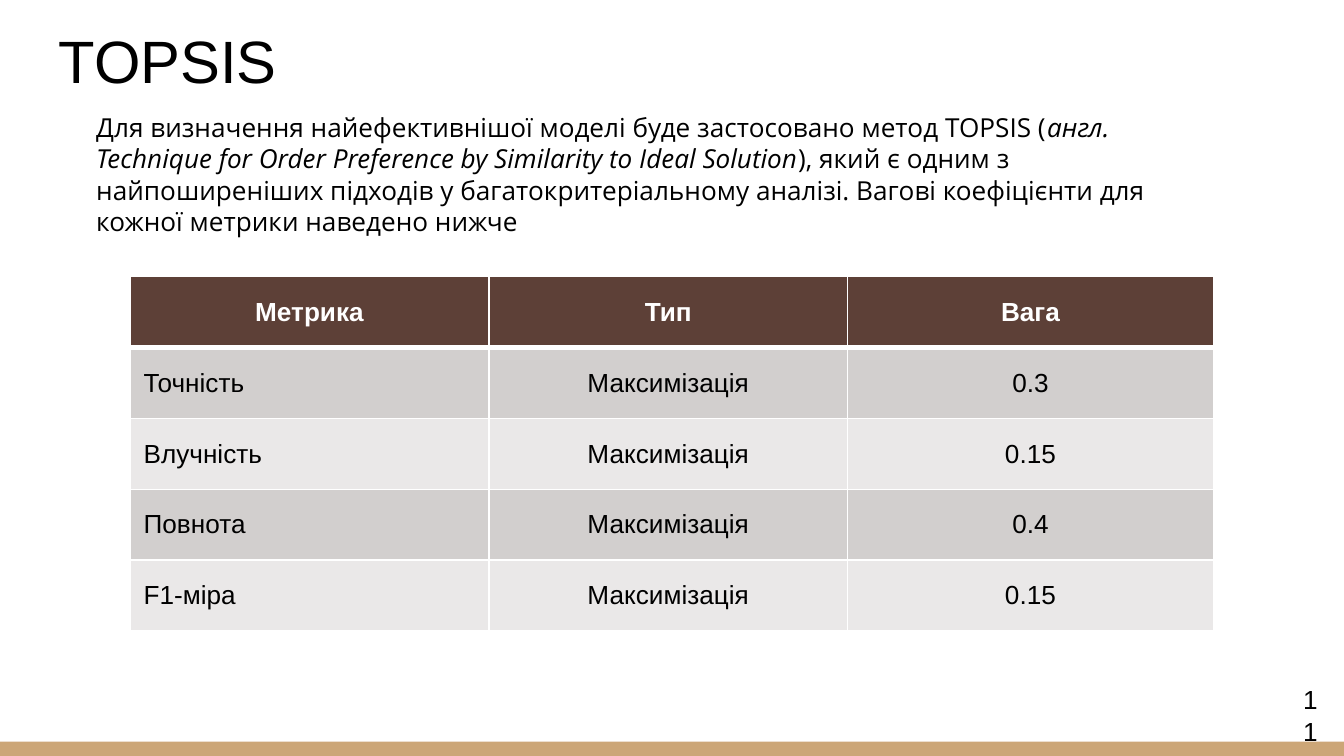
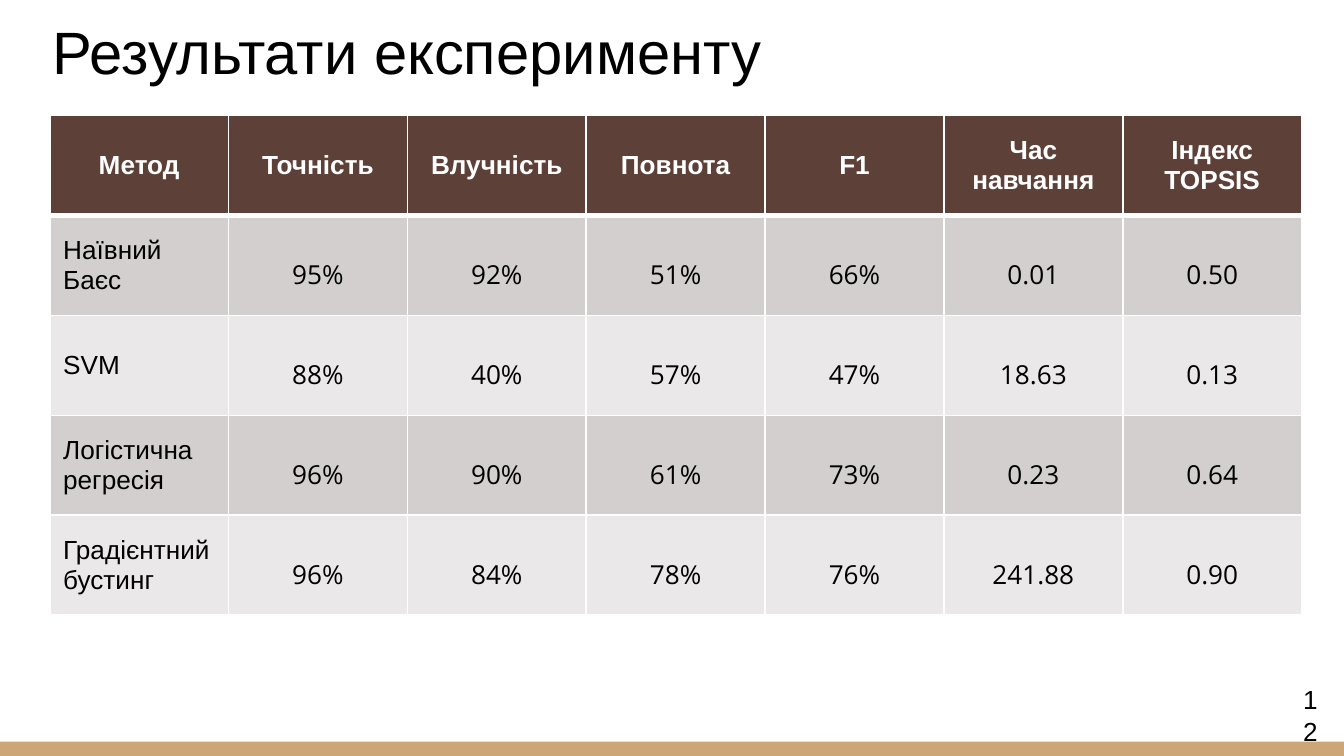
import pptx
import pptx.dml.color
import pptx.enum.shapes
import pptx.enum.text
import pptx.oxml.ns
import pptx.util
from lxml import etree

Cm = pptx.util.Cm
Pt = pptx.util.Pt
RGBColor = pptx.dml.color.RGBColor
ALIGN = pptx.enum.text.PP_ALIGN
ANCHOR = pptx.enum.text.MSO_ANCHOR

# Shared style
BLACK = RGBColor(0x00, 0x00, 0x00)
WHITE = RGBColor(0xFF, 0xFF, 0xFF)
SAND = RGBColor(0xCC, 0xA6, 0x77)
BROWN = RGBColor(0x5D, 0x40, 0x37)
ROW_DARK = RGBColor(0xD2, 0xCF, 0xCE)
ROW_LIGHT = RGBColor(0xEA, 0xE8, 0xE8)
ARIAL = "Arial"
OPEN_SANS = "Open Sans"
SLIDE_W, SLIDE_H = 25.4, 14.29
BAND_H = 0.27

# Content
INTRO = [
    ("Для визначення найефективнішої моделі буде застосовано метод TOPSIS (", False),
    ("англ. Technique for Order Preference by Similarity to Ideal Solution", True),
    ("), який є одним з найпоширеніших підходів у багатокритеріальному аналізі. "
     "Вагові коефіцієнти для кожної метрики наведено нижче", False),
]
WEIGHTS = [
    ("Метрика", "Тип", "Вага"),
    ("Точність", "Максимізація", "0.3"),
    ("Влучність", "Максимізація", "0.15"),
    ("Повнота", "Максимізація", "0.4"),
    ("F1-міра", "Максимізація", "0.15"),
]
RESULTS = [
    ("Метод", "Точність", "Влучність", "Повнота", "F1", "Час навчання", "Індекс TOPSIS"),
    ("Наївний Баєс", "95%", "92%", "51%", "66%", "0.01", "0.50"),
    ("SVM", "88%", "40%", "57%", "47%", "18.63", "0.13"),
    ("Логістична регресія", "96%", "90%", "61%", "73%", "0.23", "0.64"),
    ("Градієнтний бустинг", "96%", "84%", "78%", "76%", "241.88", "0.90"),
]


def add_run(p, text, size=14, font=ARIAL, color=BLACK, bold=False, italic=False):
    r = p.add_run()
    r.text = text
    r.font.size = Pt(size)
    r.font.name = font
    r.font.color.rgb = color
    r.font.bold = bold
    r.font.italic = italic


def add_text_box(s, left, top, width, height, wrap=True):
    tf = s.shapes.add_textbox(Cm(left), Cm(top), Cm(width), Cm(height)).text_frame
    tf.word_wrap = wrap
    return tf


def add_title(s, text, left, top):
    tf = add_text_box(s, left, top, 23.67, 2.31)
    tf.vertical_anchor = ANCHOR.BOTTOM
    tf.margin_left = tf.margin_right = tf.margin_top = tf.margin_bottom = Cm(0.25)
    add_run(tf.paragraphs[0], text, size=32)


def add_intro(s):
    tf = add_text_box(s, 1.57, 1.98, 21.59, 2.64)
    for text, italic in INTRO:
        add_run(tf.paragraphs[0], text, font=OPEN_SANS, italic=italic)


def add_base(prs, number):
    """Slide with the bottom band and the page number."""
    s = prs.slides.add_slide(prs.slide_layouts[6])
    band = s.shapes.add_shape(pptx.enum.shapes.MSO_SHAPE.RECTANGLE, 0,
                              Cm(SLIDE_H - BAND_H), Cm(SLIDE_W), Cm(BAND_H))
    band.shadow.inherit = False
    band.fill.solid()
    band.fill.fore_color.rgb = SAND
    band.line.fill.background()
    tf = add_text_box(s, 24.38, 12.8, 0.79, 0.86, wrap=False)
    tf.auto_size = pptx.enum.text.MSO_AUTO_SIZE.SHAPE_TO_FIT_TEXT
    add_run(tf.paragraphs[0], str(number))
    return s


def set_borders(cell, top, bottom):
    """White borders; only the top and bottom widths vary."""
    qn = pptx.oxml.ns.qn
    tcPr = cell._tc.get_or_add_tcPr()
    for side, width in (("L", 1), ("R", 1), ("T", top), ("B", bottom)):
        ln = etree.SubElement(tcPr, qn("a:ln" + side), w=str(Pt(width)))
        fill = etree.SubElement(ln, qn("a:solidFill"))
        etree.SubElement(fill, qn("a:srgbClr"), val=str(WHITE))


def fill_cell(cell, text, row, col, number_font):
    header = row == 0
    set_borders(cell, top=3 if row == 1 else 1, bottom=3 if header else 1)
    cell.fill.solid()
    cell.fill.fore_color.rgb = BROWN if header else ROW_DARK if row % 2 else ROW_LIGHT
    cell.vertical_anchor = ANCHOR.MIDDLE
    p = cell.text_frame.paragraphs[0]
    p.alignment = ALIGN.CENTER if header or col else ALIGN.LEFT
    font = ARIAL
    if number_font and col and not header:
        font = number_font
        p.line_spacing = 1.5
        cell.margin_left = cell.margin_right = Cm(0.19)
        cell.margin_top = cell.margin_bottom = 0
    add_run(p, text, font=font, color=WHITE if header else BLACK, bold=header)


def add_data_table(s, rows, left, top, col_widths, row_height, number_font=None):
    table = s.shapes.add_table(len(rows), len(col_widths), Cm(left), Cm(top),
                               Cm(sum(col_widths)), Cm(row_height * len(rows))).table
    for column, width in zip(table.columns, col_widths):
        column.width = Cm(width)
    for i, texts in enumerate(rows):
        table.rows[i].height = Cm(row_height)
        for j, text in enumerate(texts):
            fill_cell(table.cell(i, j), text, i, j, number_font)


def main():
    prs = pptx.Presentation()
    prs.slide_width = Cm(SLIDE_W)
    prs.slide_height = Cm(SLIDE_H)

    # Metric weights
    s = add_base(prs, 11)
    add_title(s, "TOPSIS", 0.86, -0.25)
    add_data_table(s, WEIGHTS, 2.46, 5.23, [6.78, 6.78, 6.91], 1.34)
    add_intro(s)

    # Experiment results
    s = add_base(prs, 12)
    add_title(s, "Результати експерименту", 0.74, -0.43)
    add_data_table(s, RESULTS, 0.94, 2.18, [3.38] * 7, 1.89, number_font=OPEN_SANS)

    prs.save("out.pptx")


if __name__ == "__main__":
    main()
